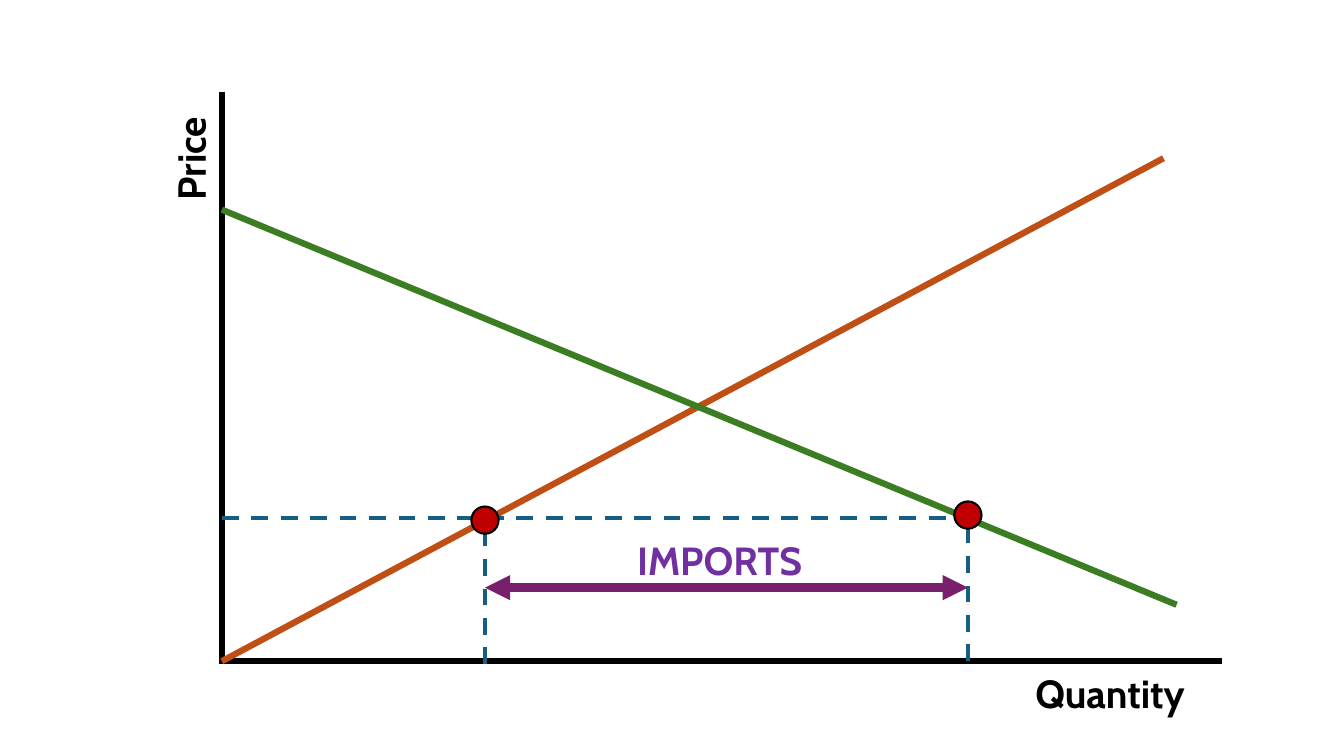
from dataclasses import dataclass

from lxml.etree import SubElement
from pptx import Presentation
from pptx.dml.color import RGBColor
from pptx.enum.dml import MSO_LINE
from pptx.enum.shapes import MSO_CONNECTOR, MSO_SHAPE
from pptx.enum.text import MSO_AUTO_SIZE
from pptx.oxml.ns import qn
from pptx.util import Inches, Pt


@dataclass(frozen=True)
class Theme:
    font: str = "Cabin"
    label_size: float = 28
    ink: str = "000000"
    supply: str = "C04F15"
    demand: str = "3B7D23"
    guide: str = "156082"
    point: str = "C00000"
    trade_arrow: str = "78206E"
    trade_label: str = "7030A0"
    curve_width: float = 4.5
    guide_width: float = 3
    arrow_width: float = 6
    outline_width: float = 1.5


class MarketDiagram:
    def __init__(self, slide, theme):
        self.slide = slide
        self.theme = theme

    def line(self, start, end, color, width, dashed=False, arrows=False):
        segment = self.slide.shapes.add_connector(
            MSO_CONNECTOR.STRAIGHT, *map(Inches, start + end))
        segment.line.color.rgb = RGBColor.from_string(color)
        segment.line.width = Pt(width)
        if dashed:
            segment.line.dash_style = MSO_LINE.DASH
        if arrows:
            outline = segment.line._get_or_add_ln()
            for tip in ("a:headEnd", "a:tailEnd"):
                SubElement(outline, qn(tip), type="triangle")
        SubElement(segment._element.spPr, qn("a:effectLst"))

    def guide(self, start, end):
        self.line(start, end, self.theme.guide, self.theme.guide_width, dashed=True)

    def point(self, x, y, diameter=0.27):
        dot = self.slide.shapes.add_shape(
            MSO_SHAPE.OVAL, Inches(x - diameter / 2), Inches(y - diameter / 2),
            Inches(diameter), Inches(diameter))
        dot.shadow.inherit = False
        dot.fill.solid()
        dot.fill.fore_color.rgb = RGBColor.from_string(self.theme.point)
        dot.line.color.rgb = RGBColor.from_string(self.theme.ink)
        dot.line.width = Pt(self.theme.outline_width)

    def label(self, text, left, top, width, color, rotation=0):
        box = self.slide.shapes.add_textbox(*map(Inches, (left, top, width, 0.57)))
        box.rotation = rotation
        box.text_frame.word_wrap = True
        box.text_frame.auto_size = MSO_AUTO_SIZE.SHAPE_TO_FIT_TEXT
        run = box.text_frame.paragraphs[0].add_run()
        run.text = text
        run.font.name = self.theme.font
        run.font.size = Pt(self.theme.label_size)
        run.font.bold = True
        run.font.color.rgb = RGBColor.from_string(color)


def main():
    deck = Presentation()
    deck.slide_width, deck.slide_height = Inches(13.33), Inches(7.5)
    theme = Theme()
    diagram = MarketDiagram(deck.slides.add_slide(deck.slide_layouts[6]), theme)

    # Shared positions on the graph
    axis_x, axis_y = 2.2, 6.56
    supplied_x, demanded_x = 4.81, 9.6
    world_price_y, imports_y = 5.14, 5.83

    # Axes
    diagram.line((axis_x, 0.91), (axis_x, 6.59), theme.ink, theme.curve_width)
    diagram.line((12.12, axis_y), (2.18, axis_y), theme.ink, theme.curve_width)

    # Supply and demand curves
    diagram.line((11.54, 1.57), (axis_x, axis_y), theme.supply, theme.curve_width)
    diagram.line((axis_x, 2.08), (11.67, 6), theme.demand, theme.curve_width)

    # Axis names
    diagram.label("Price", 1.29, 1.2, 1.2, theme.ink, rotation=270)
    diagram.label("Quantity", 10.17, 6.59, 1.77, theme.ink)

    # World price and the two quantities
    diagram.guide((axis_x, world_price_y), (demanded_x, world_price_y))
    diagram.guide((supplied_x, 6.59), (supplied_x, world_price_y))
    diagram.guide((demanded_x, axis_y), (demanded_x, 5.11))
    diagram.point(supplied_x, 5.16)
    diagram.point(demanded_x, 5.11)

    # Imports gap
    diagram.line((supplied_x, imports_y), (demanded_x, imports_y),
                 theme.trade_arrow, theme.arrow_width, arrows=True)
    diagram.label("IMPORTS", 6.22, 5.27, 1.97, theme.trade_label)

    deck.save("out.pptx")


if __name__ == "__main__":
    main()
